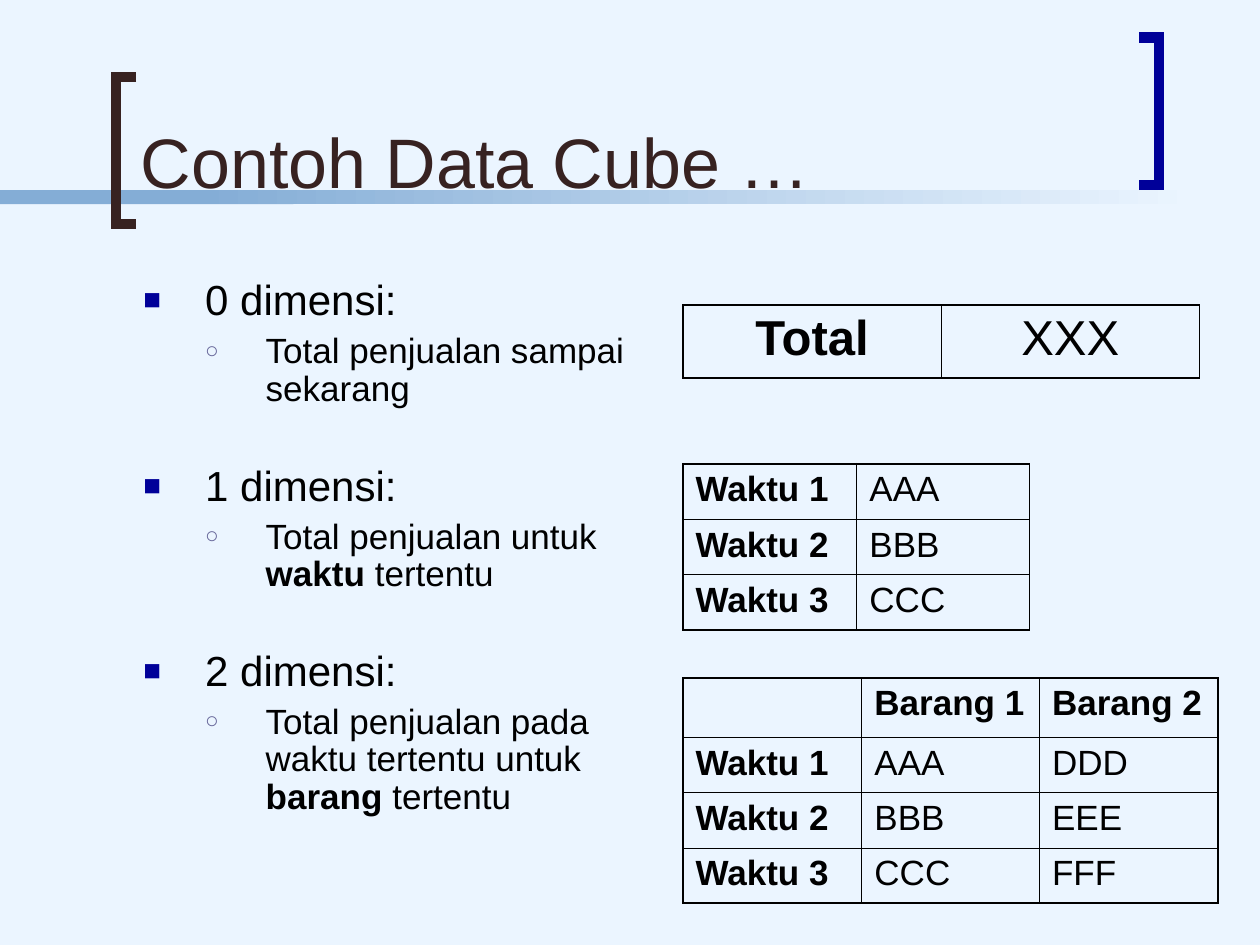
from lxml.etree import SubElement
from pptx import Presentation
from pptx.dml.color import RGBColor
from pptx.enum.shapes import MSO_SHAPE
from pptx.enum.text import MSO_ANCHOR, PP_ALIGN
from pptx.oxml.ns import qn
from pptx.util import Inches, Pt

BACKGROUND, BAND, BROWN, NAVY, BLACK = "EBF5FF", "84ADD6", "372221", "000099", "000000"
TITLE = "Contoh Data Cube …"

# Each topic: heading, then the spans of its detail as (text, bold)
TOPICS = [
    ("0 dimensi:", [("Total penjualan sampai sekarang", False)]),
    ("1 dimensi:", [("Total penjualan untuk ", False), ("waktu", True), (" tertentu", False)]),
    ("2 dimensi:", [("Total penjualan pada waktu tertentu untuk ", False),
                    ("barang", True), (" tertentu", False)]),
]
HEADING = dict(size=24, before=6, left=0.49, hanging=0.49, bullet=("■", NAVY, 70))
DETAIL = dict(size=20, before=5, left=0.97, hanging=0.48, bullet=("○", "666699", 65))
TOPIC_GAP = 25.7  # points between one topic and the next

TABLES = [
    dict(rows=[["Total", "XXX"]], top=2.42, widths=[2.05, 2.05], heights=[0.58],
         size=28, before=7, align=PP_ALIGN.CENTER),
    dict(rows=[["Waktu 1", "AAA"], ["Waktu 2", "BBB"], ["Waktu 3", "CCC"]],
         top=3.68, widths=[1.38, 1.37], heights=[0.44] * 3),
    dict(rows=[["", "Barang 1", "Barang 2"], ["Waktu 1", "AAA", "DDD"],
               ["Waktu 2", "BBB", "EEE"], ["Waktu 3", "CCC", "FFF"]],
         top=5.38, widths=[1.42, 1.41, 1.42], heights=[0.47] + [0.44] * 3, header=True),
]
TABLE_LEFT = 5.42
OUTER, INNER = 1.08, 0.45


def rgb(value):
    return RGBColor.from_string(value)


def add_span(para, text, size=20, color=BLACK, bold=False):
    span = para.add_run()
    span.text = text
    span.font.name = "Arial"
    span.font.size = Pt(size)
    span.font.bold = bold
    span.font.color.rgb = rgb(color)


def add_text_frame(page, left, top, width, height, anchor=MSO_ANCHOR.TOP):
    frame = page.shapes.add_textbox(*map(Inches, (left, top, width, height))).text_frame
    frame.word_wrap = True
    frame.vertical_anchor = anchor
    return frame


def add_band(page, left, width):
    band = page.shapes.add_shape(
        MSO_SHAPE.RECTANGLE, *map(Inches, (left, 1.51, width, 0.11)))
    band.shadow.inherit = False
    band.line.fill.background()
    return band.fill


def add_bracket(page, open_x, spine_x, top, color):
    bottom = top + 1.17
    points = [(open_x, top), (spine_x, top), (spine_x, bottom), (open_x, bottom)]
    points = [(Inches(x), Inches(y)) for x, y in points]
    builder = page.shapes.build_freeform(*points[0])
    builder.add_line_segments(points[1:], close=False)
    bracket = builder.convert_to_shape()
    bracket.shadow.inherit = False
    bracket.fill.background()
    bracket.line.color.rgb = rgb(color)
    bracket.line.width = Pt(6)
    SubElement(bracket.line._get_or_add_ln(), qn("a:miter"), lim="800000")


def format_bullet(para, size, before, left, hanging, bullet):
    para.line_spacing = 0.9
    para.space_before = Pt(before)
    symbol, color, percent = bullet
    props = para._p.get_or_add_pPr()
    props.set("marL", str(Inches(left)))
    props.set("indent", str(-Inches(hanging)))
    SubElement(SubElement(props, qn("a:buClr")), qn("a:srgbClr"), val=color)
    SubElement(props, qn("a:buSzPct"), val=str(percent * 1000))
    SubElement(props, qn("a:buFont"), typeface="Arial")
    SubElement(props, qn("a:buChar"), char=symbol)


def add_topics(page):
    frame = add_text_frame(page, 1.04, 2.17, 4.11, 4.5)
    for index, (heading, detail) in enumerate(TOPICS):
        para = frame.add_paragraph() if index else frame.paragraphs[0]
        format_bullet(para, **HEADING)
        if index:
            para.space_before = Pt(HEADING["before"] + TOPIC_GAP)
        add_span(para, heading, size=HEADING["size"])
        para = frame.add_paragraph()
        format_bullet(para, **DETAIL)
        for text, bold in detail:
            add_span(para, text, size=DETAIL["size"], bold=bold)


def set_borders(cell, **widths):
    props = cell._tc.get_or_add_tcPr()
    for side in "LRTB":
        line = SubElement(props, qn(f"a:ln{side}"), w=str(Pt(widths[side])))
        SubElement(SubElement(line, qn("a:solidFill")), qn("a:srgbClr"), val=BLACK)


def add_grid(page, rows, top, widths, heights, size=20, before=5,
             align=PP_ALIGN.LEFT, header=False):
    last_row, last_column = len(rows) - 1, len(widths) - 1
    box = (TABLE_LEFT, top, sum(widths), sum(heights))
    table = page.shapes.add_table(len(rows), len(widths), *map(Inches, box)).table
    table.first_row = table.horz_banding = False
    for column, width in zip(table.columns, widths):
        column.width = Inches(width)
    for row, height in zip(table.rows, heights):
        row.height = Inches(height)
    for r, texts in enumerate(rows):
        for c, text in enumerate(texts):
            cell = table.cell(r, c)
            set_borders(cell, L=INNER if c else OUTER, T=INNER if r else OUTER,
                        R=OUTER if c == last_column else INNER,
                        B=OUTER if r == last_row else INNER)
            cell.fill.background()
            para = cell.text_frame.paragraphs[0]
            para.alignment = align
            para.space_before = Pt(before)
            if text:
                add_span(para, text, size=size, bold=c == 0 or (header and r == 0))


def main():
    deck = Presentation()
    deck.slide_width, deck.slide_height = Inches(10), Inches(7.5)
    page = deck.slides.add_slide(deck.slide_layouts[6])
    page.background.fill.solid()
    page.background.fill.fore_color.rgb = rgb(BACKGROUND)

    solid = add_band(page, 0, 2.33)
    solid.solid()
    solid.fore_color.rgb = rgb(BAND)
    fade = add_band(page, 1.58, 7.92)
    fade.gradient()
    fade.gradient_angle = 0
    for stop, color in zip(fade.gradient_stops, (BAND, BACKGROUND)):
        stop.color.rgb = rgb(color)
    add_bracket(page, 1.08, 0.92, 0.61, BROWN)
    add_bracket(page, 9.04, 9.2, 0.3, NAVY)

    title = add_text_frame(page, 1.02, 0.11, 7.83, 1.55, anchor=MSO_ANCHOR.BOTTOM)
    add_span(title.paragraphs[0], TITLE, size=40, color=BROWN)
    add_topics(page)
    for grid in TABLES:
        add_grid(page, **grid)
    deck.save("out.pptx")


if __name__ == "__main__":
    main()
